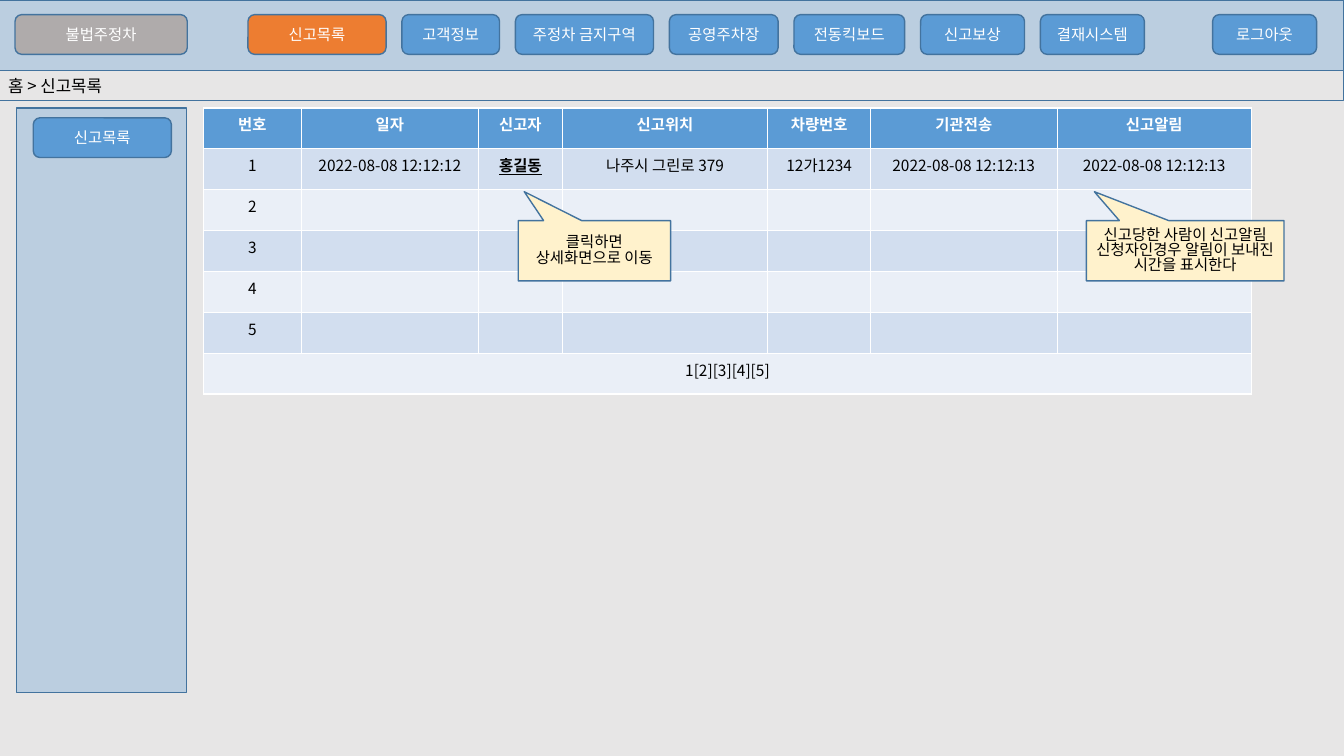
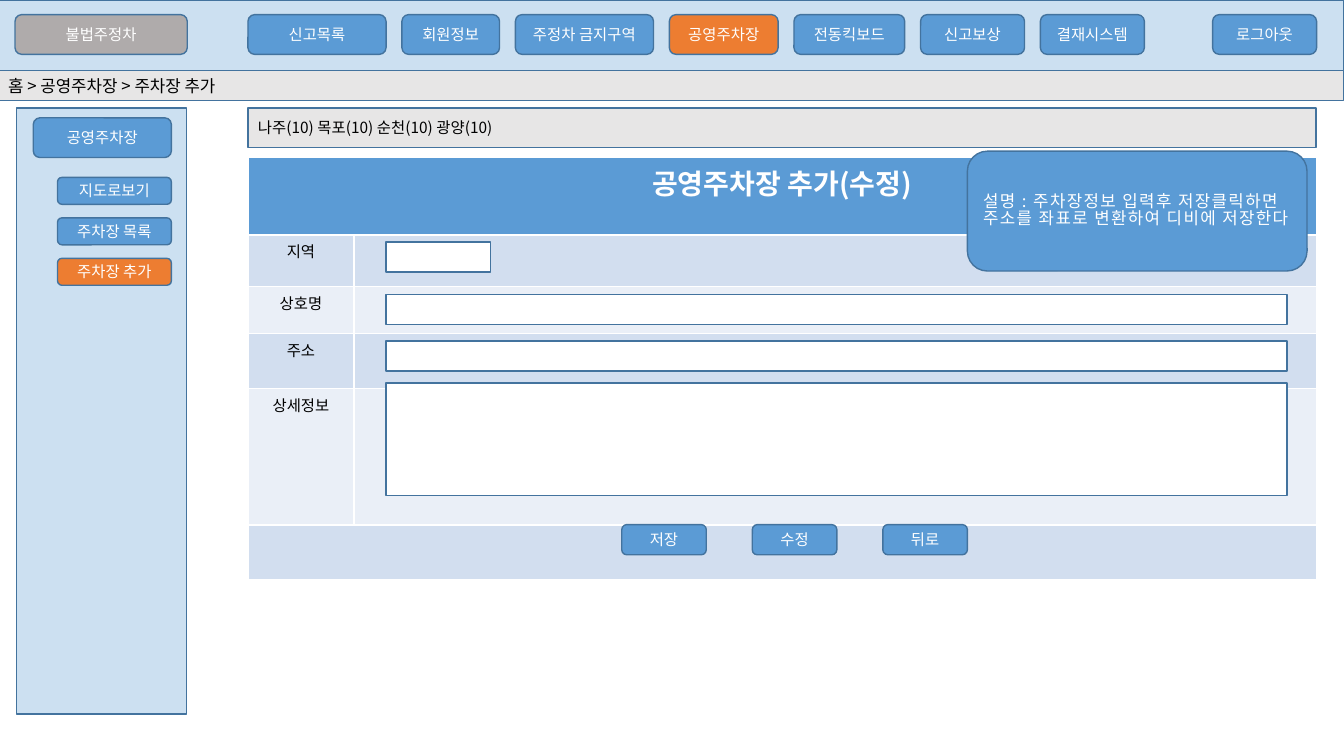
"""Build two admin screens for an illegal-parking report system."""
from pptx import Presentation
from pptx.dml.color import RGBColor
from pptx.enum.shapes import MSO_SHAPE
from pptx.enum.text import MSO_ANCHOR, MSO_AUTO_SIZE, PP_ALIGN
from pptx.oxml.ns import qn
from pptx.util import Cm, Pt
from lxml import etree

RECT, ROUND = MSO_SHAPE.RECTANGLE, MSO_SHAPE.ROUNDED_RECTANGLE
CALLOUT = MSO_SHAPE.RECTANGULAR_CALLOUT
MIDDLE, FIXED = MSO_ANCHOR.MIDDLE, MSO_AUTO_SIZE.NONE
LEFT, CENTER = PP_ALIGN.LEFT, PP_ALIGN.CENTER

BLUE = RGBColor(0x5B, 0x9B, 0xD5)
EDGE = RGBColor(0x43, 0x73, 0x9E)
ORANGE = RGBColor(0xED, 0x7D, 0x31)
GRAY = RGBColor(0xAF, 0xAB, 0xAB)
PALE_GRAY = RGBColor(0xE7, 0xE6, 0xE6)
CREAM = RGBColor(0xFF, 0xF2, 0xCC)
WHITE = RGBColor(0xFF, 0xFF, 0xFF)
BLACK = RGBColor(0, 0, 0)
STRIPES = [RGBColor(0xD2, 0xDE, 0xEF), RGBColor(0xEA, 0xEF, 0xF7)]
FONT = "Noto Sans CJK KR"
TIGHT = 0.83

NAV_LEFT, NAV_GAP, NAV_TOP, BUTTON_HEIGHT = 6.25, 0.4, 0.37, 1.0
NAV_WIDTHS = [3.48, 2.46, 3.48, 2.74, 2.79, 2.62, 2.62]

REPORT_PAGE = {
    "background": PALE_GRAY,
    "breadcrumb": "홈 > 신고목록",
    "nav": ["신고목록", "고객정보", "주정차 금지구역", "공영주차장", "전동킥보드", "신고보상", "결재시스템"],
    "active": "신고목록",
    "side_title": "신고목록",
    "side_items": [],
    "side_height": 14.73,
}
PARKING_PAGE = {
    "background": WHITE,
    "breadcrumb": "홈 > 공영주차장 > 주차장 추가",
    "nav": ["신고목록", "회원정보", "주정차 금지구역", "공영주차장", "전동킥보드", "신고보상", "결재시스템"],
    "active": "공영주차장",
    "side_title": "공영주차장",
    "side_items": ["지도로보기", "주차장 목록", "주차장 추가"],
    "side_height": 15.27,
}

REPORT_ROWS = [
    ["번호", "일자", "신고자", "신고위치", "차량번호", "기관전송", "신고알림"],
    ["1", "2022-08-08 12:12:12", "홍길동", "나주시 그린로 379", "12가1234",
     "2022-08-08 12:12:13", "2022-08-08 12:12:13"],
    ["2"], ["3"], ["4"], ["5"],
    ["1[2][3][4][5]"],
]
REPORT_COLUMNS = [2.46, 4.47, 2.11, 5.18, 2.59, 4.7, 4.9]
CALLOUTS = [
    (13.06, 3.84, "클릭하면 상세화면으로 이동"),
    (27.38, 4.98, "신고당한 사람이 신고알림 신청자인경우 알림이 보내진 시간을 표시한다"),
]

FORM_ROWS = [["공영주차장 추가(수정)"], ["지역"], ["상호명"], ["주소"], ["상세정보"], []]
FORM_HEIGHTS = [1.96, 1.3, 1.19, 1.37, 3.45, 1.37]
FORM_COLUMNS = [2.67, 24.25]
INPUTS = [(6.1, 2.64, 0.76), (7.42, 22.71, 0.76), (8.59, 22.71, 0.76), (9.65, 22.71, 2.84)]
FORM_BUTTONS = ["저장", "수정", "뒤로"]
REGIONS = "나주(10) 목포(10) 순천(10) 광양(10)"
NOTE = "설명 : 주차장정보 입력후 저장클릭하면 주소를 좌표로 변환하여 디비에 저장한다"


def style_text(frame, size, color, align, bold=False):
    for para in frame.paragraphs:
        para.alignment = align
        for span in para.runs:
            span.font.size = Pt(size)
            span.font.bold = bold
            span.font.name = FONT
            span.font.color.rgb = color
            east_asian = etree.SubElement(span.font._element, qn("a:ea"))
            east_asian.set("typeface", FONT)


def paint(shape, fill):
    shape.fill.solid()
    shape.fill.fore_color.rgb = fill
    shape.line.color.rgb = EDGE
    shape.line.width = Pt(1)


def add_box(page, kind, area, fill, text="", color=WHITE, size=11, align=CENTER):
    box = page.shapes.add_shape(kind, *[Cm(length) for length in area])
    box.shadow.inherit = False
    paint(box, fill)
    frame = box.text_frame
    frame.word_wrap = True
    frame.vertical_anchor = MIDDLE
    if text:
        frame.text = text
        style_text(frame, size, color, align)
    return box


def add_panel(page, area):
    panel = add_box(page, RECT, area, BLUE)
    color = panel._element.spPr.find(qn("a:solidFill"))[0]
    etree.SubElement(color, qn("a:alpha")).set("val", "31000")


def add_grid(page, left, top, columns, heights, rows, merged, title_size):
    frame = page.shapes.add_table(len(rows), len(columns), Cm(left), Cm(top),
                                  Cm(sum(columns)), Cm(sum(heights)))
    table = frame.table
    for column, width in zip(table.columns, columns):
        column.width = Cm(width)
    for index, (row, height) in enumerate(zip(table.rows, heights)):
        row.height = Cm(height)
        header = index == 0
        for cell in row.cells:
            cell.fill.solid()
            cell.fill.fore_color.rgb = BLUE if header else STRIPES[(index - 1) % 2]
        for cell, text in zip(row.cells, rows[index]):
            cell.text = text
            style_text(cell.text_frame, title_size if header else 11,
                       WHITE if header else BLACK, CENTER, header)
    for index in merged:
        table.cell(index, 0).merge(table.cell(index, len(columns) - 1))
    return table


def add_screen(deck, screen):
    page = deck.slides.add_slide(deck.slide_layouts[5])
    page.background.fill.solid()
    page.background.fill.fore_color.rgb = screen["background"]

    title = page.shapes.title
    title.left, title.top, title.width, title.height = Cm(-0.05), Cm(1.78), Cm(33.91), Cm(0.76)
    paint(title, PALE_GRAY)
    title.text_frame.text = screen["breadcrumb"]
    title.text_frame.auto_size = FIXED
    title.text_frame.vertical_anchor = MIDDLE
    style_text(title.text_frame, 12, BLACK, LEFT)

    add_panel(page, (-0.05, 0, 33.91, 1.78))
    add_panel(page, (0.41, 2.72, 4.29, screen["side_height"]))
    add_box(page, ROUND, (0.38, NAV_TOP, 4.34, BUTTON_HEIGHT), GRAY, "불법주정차")
    left = NAV_LEFT
    for label, width in zip(screen["nav"], NAV_WIDTHS):
        fill = ORANGE if label == screen["active"] else BLUE
        add_box(page, ROUND, (left, NAV_TOP, width, BUTTON_HEIGHT), fill, label)
        left += width + NAV_GAP
    add_box(page, ROUND, (30.56, NAV_TOP, 2.62, BUTTON_HEIGHT), BLUE, "로그아웃")

    add_box(page, ROUND, (0.84, 2.97, 3.48, BUTTON_HEIGHT), BLUE, screen["side_title"])
    for index, label in enumerate(screen["side_items"]):
        fill = ORANGE if screen["breadcrumb"].endswith(label) else BLUE
        add_box(page, ROUND, (1.45, 4.47 + 1.02 * index, 2.87, 0.68), fill, label)
    return page


def build_report_page(deck):
    page = add_screen(deck, REPORT_PAGE)
    heights = [1.03] * len(REPORT_ROWS)
    table = add_grid(page, 5.13, 2.72, REPORT_COLUMNS, heights, REPORT_ROWS, [6], 11)
    reporter = table.cell(1, 2).text_frame.paragraphs[0].runs[0]
    reporter.font.bold = True
    reporter.font.underline = True
    for left, width, text in CALLOUTS:
        callout = add_box(page, CALLOUT, (left, 5.56, width, 1.52), CREAM, text, BLACK)
        callout.adjustments[0] = -0.46
        callout.adjustments[1] = -0.98
        callout.text_frame.paragraphs[0].line_spacing = TIGHT


def build_parking_page(deck):
    page = add_screen(deck, PARKING_PAGE)
    add_box(page, RECT, (6.25, 2.72, 26.92, 1.0), PALE_GRAY, REGIONS, BLACK, align=LEFT)
    add_grid(page, 6.25, 3.96, FORM_COLUMNS, FORM_HEIGHTS, FORM_ROWS, [0, 5], 20)
    for top, width, height in INPUTS:
        add_box(page, RECT, (9.73, top, width, height), WHITE)
    for index, label in enumerate(FORM_BUTTONS):
        add_box(page, ROUND, (15.67 + 3.29 * index, 13.22, 2.13, 0.76), BLUE, label)
    note = add_box(page, ROUND, (24.38, 3.81, 8.56, 3.02), BLUE, NOTE, size=12, align=LEFT)
    para = note.text_frame.paragraphs[0]
    para.line_spacing = TIGHT
    para.runs[0].font._element.set("spc", "100")


def main():
    deck = Presentation()
    deck.slide_width, deck.slide_height = Cm(33.87), Cm(19.05)
    build_report_page(deck)
    build_parking_page(deck)
    deck.save("out.pptx")


if __name__ == "__main__":
    main()
